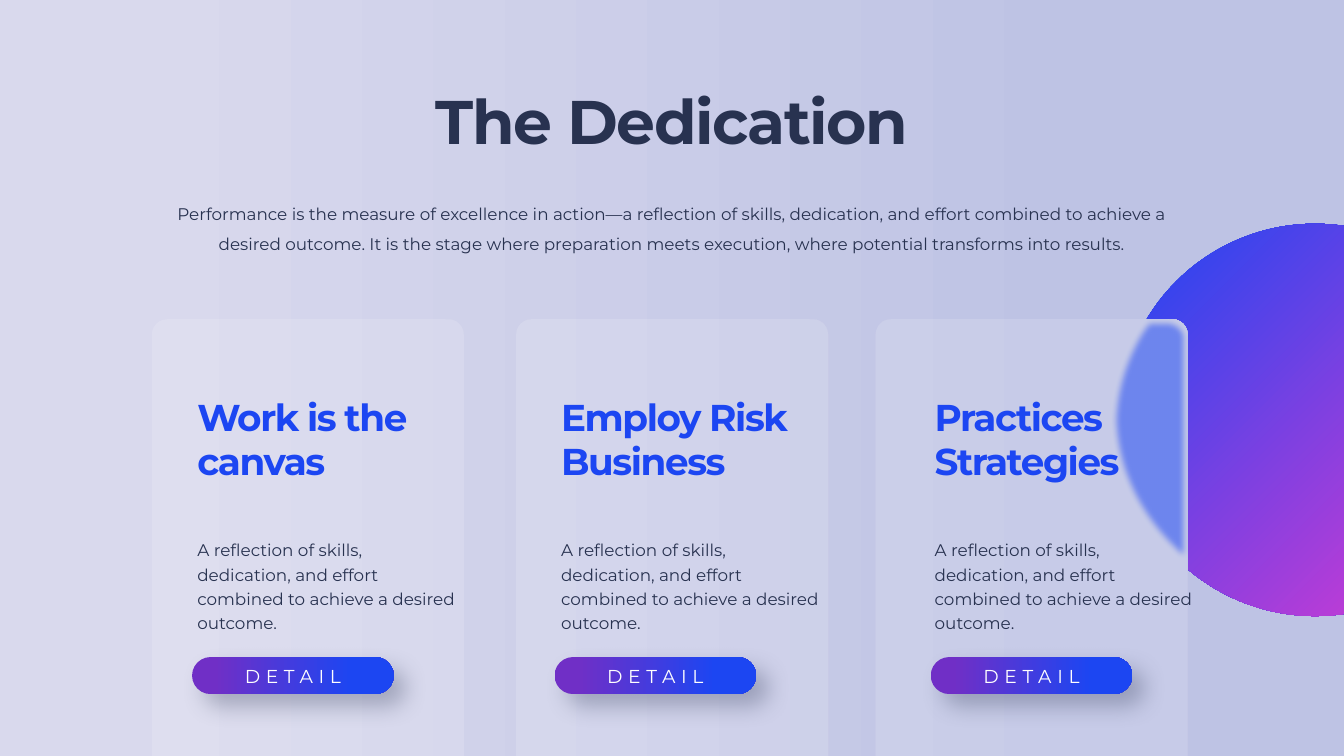
from lxml.etree import SubElement
from pptx import Presentation
from pptx.dml.color import RGBColor
from pptx.enum.shapes import MSO_SHAPE
from pptx.enum.text import MSO_ANCHOR, MSO_AUTO_SIZE, PP_ALIGN
from pptx.oxml.ns import qn
from pptx.util import Cm, Pt

COLORS = {
    "pale": "D9D9ED", "mist": "BEC3E4", "ink": "283250", "white": "FFFFFF",
    "blue": "1C46F2", "purple": "702FC6", "pink": "C13CD5",
}
FORMATS = {
    "title": {"size": Pt(66), "bold": True},
    "heading": {"size": Pt(40), "bold": True},
    "body": {"size": Pt(18)},
    "button": {"size": Pt(20)},
}
SPACING = {"title": -1.5, "heading": -1.5, "button": 6}
TEXT_COLORS = {"title": "ink", "body": "ink", "button": "white"}

INTRO = ("Performance is the measure of excellence in action—a reflection of "
         "skills, dedication, and effort combined to achieve a desired outcome. "
         "It is the stage where preparation meets execution, where potential "
         "transforms into results.")
DETAIL = ("A reflection of skills, dedication, and effort combined to achieve "
          "a desired outcome.")
# heading, then left edges of card, text and button in cm
CARDS = [
    ("Work is the canvas", 5.74, 7.21, 7.26),
    ("Employ Risk Business", 19.51, 20.96, 20.96),
    ("Practices Strategies", 33.1, 35.08, 35.18),
]


def rgb(name):
    return RGBColor.from_string(COLORS[name])


def set_gradient(fill, first, last, positions=(0.11, 0.8)):
    fill.gradient()
    fill.gradient_angle = 0
    for stop, name, position in zip(fill.gradient_stops, (first, last), positions):
        stop.color.rgb = rgb(name)
        stop.position = position


def bezier(p0, p1, p2, p3, steps=24):
    """Points along a cubic curve, without its start point."""
    points = []
    for i in range(1, steps + 1):
        t = i / steps
        weights = ((1 - t) ** 3, 3 * t * (1 - t) ** 2, 3 * t * t * (1 - t), t ** 3)
        points.append(tuple(sum(w * p[axis] for w, p in zip(weights, (p0, p1, p2, p3)))
                            for axis in (0, 1)))
    return points


class SlideBuilder:
    def __init__(self, slide, font="Montserrat"):
        self.s = slide
        self.font = font

    def plain(self, sp):
        sp.shadow.inherit = False
        sp.line.fill.background()
        return sp

    def shape(self, kind, box, shapes=None, radius=None):
        shapes = self.s.shapes if shapes is None else shapes
        sp = self.plain(shapes.add_shape(kind, *map(Cm, box)))
        if radius is not None:
            sp.adjustments[0] = radius
        return sp

    def tint(self, sp, color, percent):
        """Fill with a colour of the given opacity."""
        sp.fill.solid()
        sp.fill.fore_color.rgb = rgb(color)
        clr = sp._element.spPr.find(qn("a:solidFill")).find(qn("a:srgbClr"))
        SubElement(clr, qn("a:alpha"), val=str(percent * 1000))

    def effect(self, sp, tag, **attrs):
        effects = sp._element.spPr.find(qn("a:effectLst"))
        return SubElement(effects, qn(tag), **attrs)

    def set_text(self, tf, text, style, align=PP_ALIGN.LEFT, line_spacing=None):
        tf.word_wrap = True
        p = tf.paragraphs[0]
        p.alignment = align
        p.line_spacing = line_spacing
        r = p.add_run()
        r.text = text
        for name, value in {"name": self.font, **FORMATS[style]}.items():
            setattr(r.font, name, value)
        if style in TEXT_COLORS:
            r.font.color.rgb = rgb(TEXT_COLORS[style])
        else:
            set_gradient(r.font.fill, "blue", "purple")
        if style in SPACING:
            r.font._element.set("spc", str(int(SPACING[style] * 100)))

    def text(self, box, text, style, **layout):
        tf = self.s.shapes.add_textbox(*map(Cm, box)).text_frame
        self.set_text(tf, text, style, **layout)
        tf.auto_size = MSO_AUTO_SIZE.SHAPE_TO_FIT_TEXT

    def circle(self, box):
        """Circle with a radial gradient centred on its bottom right corner."""
        sp = self.shape(MSO_SHAPE.OVAL, box)
        set_gradient(sp.fill, "pink", "blue", (0.17, 1))
        grad = sp._element.spPr.find(qn("a:gradFill"))
        grad.remove(grad.find(qn("a:lin")))
        radial = SubElement(grad, qn("a:path"), {"path": "circle"})
        SubElement(radial, qn("a:fillToRect"), l="100000", t="100000")

    def glow(self, shapes):
        """Blurred part of the circle seen through the last card."""
        corner = bezier((44.32, 12.01), (44.7, 12.01), (44.98, 12.27), (44.98, 12.6))
        lower = bezier((44.5, 21.23), (42.93, 19.86), (41.96, 17.98), (41.96, 15.9))
        upper = bezier((41.96, 15.9), (41.96, 14.58), (42.34, 13.36), (43, 12.29))
        outline = [(44.32, 12.01), *corner, (44.98, 21.62), (44.5, 21.23), *lower, *upper]
        fb = shapes.build_freeform(Cm(43.21), Cm(12.01))
        fb.add_line_segments([(Cm(x), Cm(y)) for x, y in outline], close=True)
        sp = self.plain(fb.convert_to_shape())
        self.tint(sp, "blue", 65)
        self.effect(sp, "a:softEdge", rad=str(Cm(0.25)))

    def card(self, left, glowing):
        """Frosted panel: slide background below, thin white veil on top."""
        box = (left, 12.07, 11.79, 17.53)
        shapes = self.s.shapes.add_group_shape().shapes
        base = self.shape(MSO_SHAPE.ROUNDED_RECTANGLE, box, shapes, 0.049)
        base._element.set("useBgFill", "1")
        if glowing:
            self.glow(shapes)
        veil = self.shape(MSO_SHAPE.ROUNDED_RECTANGLE, box, shapes, 0.049)
        self.tint(veil, "white", 15)

    def button(self, left, label):
        sp = self.shape(MSO_SHAPE.ROUNDED_RECTANGLE, (left, 24.84, 7.62, 1.4), radius=0.5)
        set_gradient(sp.fill, "purple", "blue")
        shadow = self.effect(sp, "a:outerShdw", blurRad=str(Pt(25)), dist=str(Pt(18)),
                             dir=str(45 * 60000), algn="tl", rotWithShape="0")
        clr = SubElement(shadow, qn("a:srgbClr"), val=COLORS["ink"])
        SubElement(clr, qn("a:alpha"), val="31000")
        sp.text_frame.vertical_anchor = MSO_ANCHOR.MIDDLE
        self.set_text(sp.text_frame, label, "button", align=PP_ALIGN.CENTER)


def main():
    prs = Presentation()
    prs.slide_width, prs.slide_height = Cm(50.8), Cm(28.58)
    s = prs.slides.add_slide(prs.slide_layouts[6])
    set_gradient(s.background.fill, "pale", "mist")

    b = SlideBuilder(s)
    b.circle((42.29, 8.46, 14.83, 14.83))
    b.text((12.93, 3, 24.94, 3.07), "The Dedication", "title", align=PP_ALIGN.CENTER)
    b.text((5.69, 7.19, 39.4, 2.57), INTRO, "body", align=PP_ALIGN.CENTER, line_spacing=1.5)
    for heading, card_left, text_left, button_left in CARDS:
        b.card(card_left, glowing=heading == CARDS[-1][0])
        b.text((text_left, 14.76, 10.31, 3.68), heading, "heading")
        b.text((text_left, 20.14, 10.31, 3.96), DETAIL, "body", line_spacing=1.2)
        b.button(button_left, "DETAIL")

    prs.save("out.pptx")


if __name__ == "__main__":
    main()
